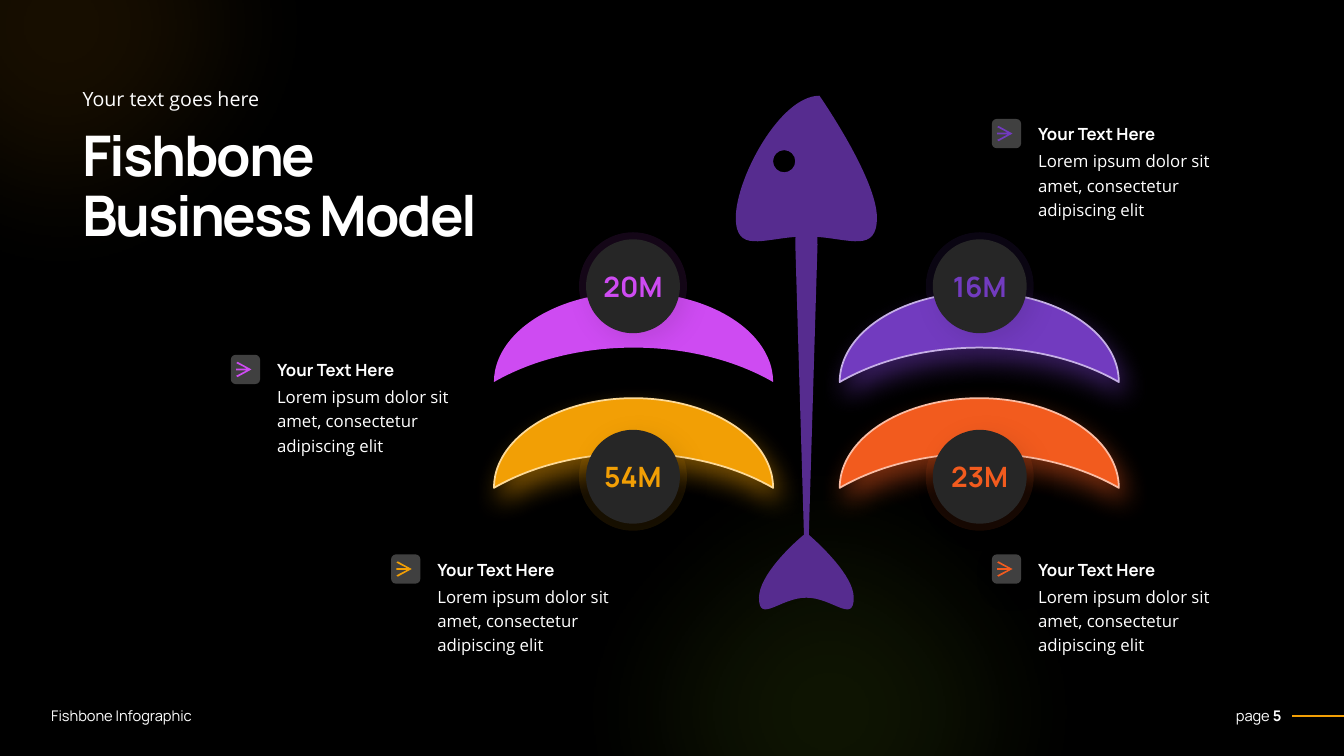
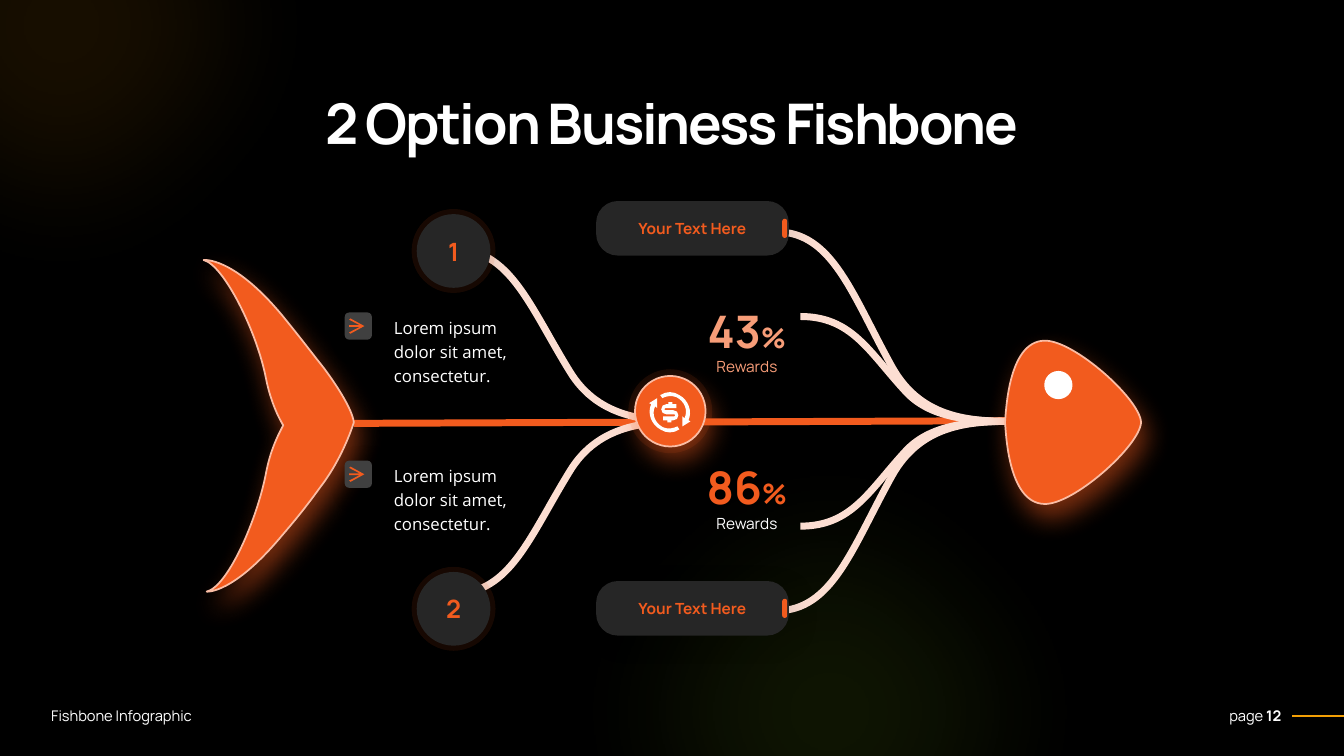
from dataclasses import dataclass

from lxml import etree
from pptx import Presentation
from pptx import util as u
from pptx.dml.color import RGBColor
from pptx.enum import shapes, text
from pptx.oxml import ns

SHAPE = shapes.MSO_SHAPE
ALIGN = text.PP_ALIGN


@dataclass(frozen=True)
class Theme:
    # Colours
    back: str = "000000"
    white: str = "FFFFFF"
    dark: str = "262626"
    tile: str = "404040"
    amber: str = "F29F05"
    amber_edge: str = "FDDA98"
    orange: str = "F25B1E"
    orange_edge: str = "FABDA5"
    peach: str = "F79D78"
    rib: str = "FCDED2"
    violet: str = "723BBF"
    violet_edge: str = "C6B0E6"
    bone: str = "562C8F"
    pink: str = "CE4BF2"
    green: str = "9FD923"
    # Fonts and type sizes
    head_font: str = "Manrope"
    body_font: str = "Open Sans"
    title: float = 40
    figure: float = 32
    badge: float = 20
    number: float = 18
    lead: float = 14
    body: float = 12
    label: float = 11
    footer: float = 10.5


THEME = Theme()


# Text and XML helpers
def write(frame, content, size=THEME.body, color=THEME.white, font=THEME.head_font,
          bold=False, align=ALIGN.LEFT, leading=None, tracking=None):
    """Fill a frame with a string (one paragraph per line) or a list of (text, size, bold)."""
    if isinstance(content, str):
        rows = [[(line, size, bold)] for line in content.split("\n")]
    else:
        rows = [content]
    for index, row in enumerate(rows):
        para = frame.add_paragraph() if index else frame.paragraphs[0]
        para.alignment = align
        if leading:
            para.line_spacing = leading
        for words, points, heavy in row:
            span = para.add_run()
            span.text = words
            span.font.name = font
            span.font.size = u.Pt(points)
            span.font.bold = heavy
            span.font.color.rgb = RGBColor.from_string(color)
            if tracking is not None:
                span.font._element.set("spc", str(int(tracking * 100)))


def add_node(parent, tag, **attributes):
    values = {name: str(value) for name, value in attributes.items()}
    return etree.SubElement(parent, ns.qn(tag), values)


# Outline helpers: a contour is a list of (command, x, y)
def trace(outline):
    """Read 'x y L x y C x y x y x y', where L starts lines and C cubic curves."""
    contour, command = [], "L"
    tokens = iter(outline.split())
    for token in tokens:
        if token in "LC":
            command = token
        else:
            contour.append((command, float(token), float(next(tokens))))
    return contour


def circle(cx, cy, radius):
    k = 0.55 * radius
    left, right, top, low = cx - radius, cx + radius, cy - radius, cy + radius
    return trace(f"{left} {cy} C {left} {cy - k} {cx - k} {top} {cx} {top} "
                 f"{cx + k} {top} {right} {cy - k} {right} {cy} "
                 f"{right} {cy + k} {cx + k} {low} {cx} {low} "
                 f"{cx - k} {low} {left} {cy + k} {left} {cy}")


def half_turn(contour, cx, cy):
    return [(command, 2 * cx - x, 2 * cy - y) for command, x, y in contour]


def mirror(contour, axis):
    return [(command, x, 2 * axis - y) for command, x, y in contour]


def bend(item, commands):
    """Join each three line ends marked C into one cubic curve."""
    lines = list(item._element.spPr.iter(ns.qn("a:lnTo")))
    marked = [line for line, command in zip(lines, commands) if command == "C"]
    for first, second, third in zip(marked[::3], marked[1::3], marked[2::3]):
        curve = etree.Element(ns.qn("a:cubicBezTo"))
        first.addprevious(curve)
        for line in (first, second, third):
            curve.append(line[0])
            line.getparent().remove(line)


class Board:
    """Holds the deck, the theme and the current slide."""

    def __init__(self, theme):
        self.theme = theme
        self.deck = Presentation()
        self.deck.slide_width = u.Inches(40 / 3)
        self.deck.slide_height = u.Inches(7.5)

    def new_page(self, number):
        t = self.theme
        self.page = self.deck.slides.add_slide(self.deck.slide_layouts[6])
        self.page.background.fill.solid()
        self.page.background.fill.fore_color.rgb = RGBColor.from_string(t.back)
        middle = text.MSO_ANCHOR.MIDDLE
        self.text(11.8, 6.96, 1.01, 0.28, [("page ", t.footer, False), (number, t.footer, True)],
                  anchor=middle, align=ALIGN.RIGHT)
        self.text(0.41, 6.96, 2.31, 0.28, "Fishbone Infographic", anchor=middle, size=t.footer)
        self.line(12.82, 7.1, 13.33, 7.1, t.amber)
        for place, color in (((4.84, 3.67, 6.79, 6.79), t.green),
                             ((-2.78, -3.16, 6.79, 6.83), t.amber)):
            glow = self.shape(SHAPE.OVAL, *place, color, alpha=10)
            effects = glow._element.spPr.find(ns.qn("a:effectLst"))
            add_node(effects, "a:softEdge", rad=u.Pt(100))

    def style(self, item, fill=None, edge=None, width=1.25, alpha=None, shadow=None):
        """Shadow is (colour, opacity, blur, distance, angle)."""
        if fill:
            item.fill.solid()
            item.fill.fore_color.rgb = RGBColor.from_string(fill)
        else:
            item.fill.background()
        if alpha:
            color = item._element.spPr.find(ns.qn("a:solidFill"))[0]
            add_node(color, "a:alpha", val=alpha * 1000)
        if edge:
            item.line.color.rgb = RGBColor.from_string(edge)
            item.line.width = u.Pt(width)
        else:
            item.line.fill.background()
        item.shadow.inherit = False
        if shadow:
            color, opacity, blur, distance, angle = shadow
            effects = item._element.spPr.find(ns.qn("a:effectLst"))
            outer = add_node(effects, "a:outerShdw", blurRad=u.Pt(blur), dist=u.Pt(distance),
                             dir=angle * 60000, algn="ctr", rotWithShape=0)
            add_node(add_node(outer, "a:srgbClr", val=color), "a:alpha", val=opacity * 1000)
        return item

    def shape(self, kind, x, y, w, h, fill, **look):
        item = self.page.shapes.add_shape(kind, *map(u.Inches, (x, y, w, h)))
        return self.style(item, fill, **look)

    def outline(self, contours, closed=True, **look):
        builder, commands = None, []
        for contour in contours:
            start, *corners = [(u.Inches(x), u.Inches(y)) for _, x, y in contour]
            if builder is None:
                builder = self.page.shapes.build_freeform(*start)
            else:
                builder.move_to(*start)
            builder.add_line_segments(corners, close=closed)
            commands += [command for command, _, _ in contour[1:]]
        item = builder.convert_to_shape()
        bend(item, commands)
        return self.style(item, **look)

    def text(self, x, y, w, h, content, anchor=text.MSO_ANCHOR.TOP, **style):
        box = self.page.shapes.add_textbox(*map(u.Inches, (x, y, w, h)))
        frame = box.text_frame
        frame.word_wrap = True
        frame.auto_size = text.MSO_AUTO_SIZE.SHAPE_TO_FIT_TEXT
        frame.vertical_anchor = anchor
        write(frame, content, **style)

    def title(self, x, y, w, h, content, align=ALIGN.LEFT):
        self.text(x, y, w, h, content, size=self.theme.title, bold=True, align=align,
                  leading=0.9, tracking=-1.5)

    def line(self, x1, y1, x2, y2, color, width=1.25, arrow=False):
        ends = map(u.Inches, (x1, y1, x2, y2))
        item = self.page.shapes.add_connector(shapes.MSO_CONNECTOR.STRAIGHT, *ends)
        item.line.color.rgb = RGBColor.from_string(color)
        item.line.width = u.Pt(width)
        if arrow:
            add_node(item.line._get_or_add_ln(), "a:tailEnd", type="arrow", w="lg", len="lg")
        add_node(item._element.spPr, "a:effectLst")

    def glow(self, color):
        return (color, 50, 19, 10, 68)

    def panel(self, kind, x, y, w, h, label, color, size):
        """Dark labelled shape with a faint shadow."""
        t = self.theme
        item = self.shape(kind, x, y, w, h, t.dark, edge=t.dark, width=2.25,
                          shadow=(t.back, 10, 19, 6, 45))
        item.text_frame.margin_left = item.text_frame.margin_right = 0
        write(item.text_frame, label, size=size, color=color, bold=True, align=ALIGN.CENTER)
        return item

    def halo(self, cx, cy, size, color):
        ring = size * 1.19
        self.shape(SHAPE.OVAL, cx - ring / 2, cy - ring / 2, ring, ring, color, alpha=10)

    def badge(self, cx, cy, size, label, color, points):
        self.halo(cx, cy, size, color)
        self.panel(SHAPE.OVAL, cx - size / 2, cy - size / 2, size, size, label, color, points)

    def fin(self, x, y, color, edge):
        shadow = self.glow(color) if edge else None
        moon = self.shape(SHAPE.MOON, x, y, 0.89, 2.77, color, edge=edge, shadow=shadow)
        moon.adjustments[0] = 0.616
        moon.rotation = 90

    def arrow_tile(self, x, y, size, color):
        t = self.theme
        self.shape(SHAPE.ROUNDED_RECTANGLE, x, y, size, size, t.tile,
                   shadow=(t.back, 10, 19, 6, 45))
        cx, cy = x + size / 2, y + size / 2
        self.line(cx - 0.06, cy, cx + 0.06, cy, color, arrow=True)

    def body(self, x, y, w, content):
        self.text(x, y, w, 0.81, content, font=self.theme.body_font, leading=1.2)

    def note(self, x, y, color):
        self.body(x + 0.36, y + 0.23, 2.15, "Lorem ipsum dolor sit amet, consectetur adipiscing elit")
        self.text(x + 0.36, y, 1.75, 0.3, "Your Text Here", bold=True)
        self.arrow_tile(x, y, 0.29, color)

    def pill(self, y):
        t = self.theme
        item = self.panel(SHAPE.ROUNDED_RECTANGLE, 5.93, y, 1.88, 0.51, "Your Text Here",
                          t.orange, t.label)
        item.adjustments[0] = 0.39
        mark = self.shape(SHAPE.ROUNDED_RECTANGLE, 7.76, y + 0.16, 0.05, 0.19, t.orange)
        mark.adjustments[0] = 0.5

    def reward(self, y, figure, color, label_color):
        t = self.theme
        self.text(6.8, y, 1.22, 0.61, [(figure, t.figure, True), ("%", t.badge, True)],
                  color=color, align=ALIGN.CENTER)
        self.text(6.8, y + 0.5, 1.22, 0.3, "Rewards", size=t.label, color=label_color,
                  align=ALIGN.CENTER, leading=1.2)


def business_model(board):
    t = board.theme
    board.new_page("5")

    # Fins
    for x, y, color, edge in ((5.84, 3.01, t.amber, t.amber_edge),
                              (9.27, 3.01, t.orange, t.orange_edge),
                              (9.27, 1.96, t.violet, t.violet_edge),
                              (5.84, 1.96, t.pink, None)):
        board.fin(x, y, color, edge)

    # Tail, head with eye hole, spine
    tail = trace("7.53 5.93 C 7.53 5.71 7.86 5.4 7.97 5.31 L 8.03 5.31 "
                 "C 8.13 5.4 8.47 5.71 8.47 5.93 8.47 6.19 8.26 5.93 8 5.93 "
                 "7.74 5.93 7.53 6.19 7.53 5.93")
    head = trace("8.09 2.35 C 8.43 2.37 8.7 2.51 8.7 2.16 8.7 1.77 8.13 0.95 8.13 0.95 "
                 "7.74 0.95 7.3 1.77 7.3 2.16 7.3 2.51 7.57 2.37 7.91 2.35 "
                 "L 7.91 2.46 8.09 2.46")
    spine = trace("7.9 2.3 C 7.89 2.34 7.89 2.39 7.89 2.43 7.92 3.44 7.95 4.44 7.98 5.44 "
                  "L 8.02 5.44 C 8.05 4.44 8.08 3.43 8.11 2.43 8.11 2.39 8.11 2.34 8.1 2.3")
    for contours in ([tail], [head, circle(7.78, 1.6, 0.11)], [spine]):
        board.outline(contours, fill=t.bone)

    # Figures
    left, right, upper, lower = 6.28, 9.72, 2.84, 4.73
    for cx, cy, label, color in ((left, upper, "20M", t.pink), (right, upper, "16M", t.violet),
                                 (left, lower, "54M", t.amber), (right, lower, "23M", t.orange)):
        board.badge(cx, cy, 0.9, label, color, t.badge)

    # Notes and title
    for x, y, color in ((2.29, 3.52, t.pink), (9.84, 1.18, t.violet),
                        (3.88, 5.5, t.amber), (9.84, 5.5, t.orange)):
        board.note(x, y, color)
    board.title(0.72, 1.22, 4.59, 1.32, "Fishbone\nBusiness Model")
    board.text(0.72, 0.77, 2.72, 0.37, "Your text goes here", size=t.lead,
               font=t.body_font, leading=1.2)


def two_options(board):
    t = board.theme
    board.new_page("12")
    axis = 4.18

    # Spine and mirrored ribs
    board.line(10.97, 4.17, 3.51, 4.2, t.orange, width=5)
    for rib in ("10.09 4.18 C 9.68 4.18 9.15 4.18 8.85 3.64 8.45 2.92 8.26 2.3 7.7 2.3",
                "10.09 4.18 C 9.72 4.18 9.25 4.18 8.98 3.88 8.62 3.49 8.45 3.14 7.94 3.14",
                "6.89 4.18 C 6.48 4.18 5.95 4.18 5.65 3.68 5.25 3.03 5.06 2.47 4.5 2.47"):
        contour = trace(rib)
        for side in (contour, mirror(contour, axis)):
            board.outline([side], closed=False, edge=t.rib, width=5)

    # Tail, head and eye
    tail = trace("3.51 4.19 C 3.51 4.19 3.41 4.53 3.18 4.83 3.1 4.94 2.99 5.09 2.8 5.31 "
                 "2.31 5.9 2.05 5.87 2.05 5.87 2.26 5.82 2.55 5.16 2.64 4.69 "
                 "2.68 4.48 2.75 4.33 2.81 4.22 2.75 4.12 2.68 3.96 2.64 3.76 "
                 "2.55 3.29 2.22 2.63 2.02 2.58 2.02 2.58 2.31 2.54 2.8 3.13 "
                 "2.98 3.35 3.1 3.51 3.18 3.61 3.23 3.67 3.49 4.02 3.51 4.19")
    head = trace("9.97 4.19 C 9.98 4.13 9.99 3.39 10.36 3.38 10.65 3.37 11.31 3.96 11.32 4.19 "
                 "11.31 4.42 10.65 5.01 10.36 5 9.99 4.99 9.98 4.25 9.97 4.19")
    for contour in (tail, head):
        board.outline([contour], fill=t.orange, edge=t.orange_edge, shadow=board.glow(t.orange))
    board.shape(SHAPE.OVAL, 10.36, 3.68, 0.28, 0.28, t.white)

    # Options, rewards and labels
    for y in (3.1, 4.57):
        board.body(3.81, y - 0.04, 1.41, "Lorem ipsum dolor sit amet, consectetur.")
        board.arrow_tile(3.42, y, 0.27, t.orange)
    board.reward(2.96, "43", t.peach, t.peach)
    board.reward(4.51, "86", t.orange, t.white)
    for y in (2.01, 5.78):
        board.pill(y)
    for cy, label in ((2.49, "1"), (6.04, "2")):
        board.badge(4.5, cy, 0.7, label, t.orange, t.number)

    # Money cycle hub
    board.halo(6.65, 4.08, 0.7, t.orange)
    board.shape(SHAPE.OVAL, 6.3, 3.73, 0.7, 0.7, t.orange, edge=t.orange_edge,
                shadow=board.glow(t.orange))
    center = (6.645, 4.09)
    arrow = trace("6.79 4.15 C 6.83 4.07 6.79 3.98 6.71 3.94 6.66 3.92 6.61 3.93 6.57 3.95 "
                  "L 6.55 3.92 C 6.61 3.88 6.68 3.88 6.74 3.92 6.83 3.97 6.87 4.08 6.83 4.17 "
                  "L 6.85 4.18 6.77 4.23 6.77 4.13")
    dollar = trace("6.58 4.13 L 6.69 4.13 C 6.69 4.13 6.7 4.12 6.7 4.12 6.7 4.11 6.69 4.11 "
                   "6.69 4.11 L 6.61 4.11 C 6.58 4.11 6.56 4.09 6.56 4.06 "
                   "6.56 4.03 6.58 4.01 6.61 4.01 L 6.63 4.01 6.63 3.99 6.67 3.99 "
                   "6.67 4.01 6.71 4.01")
    board.outline([arrow, half_turn(arrow, *center), dollar + half_turn(dollar, *center)],
                  fill=t.white)

    board.title(1.33, 0.9, 10.67, 0.71, "2 Option Business Fishbone", align=ALIGN.CENTER)


def main():
    board = Board(THEME)
    business_model(board)
    two_options(board)
    board.deck.save("out.pptx")


if __name__ == "__main__":
    main()
